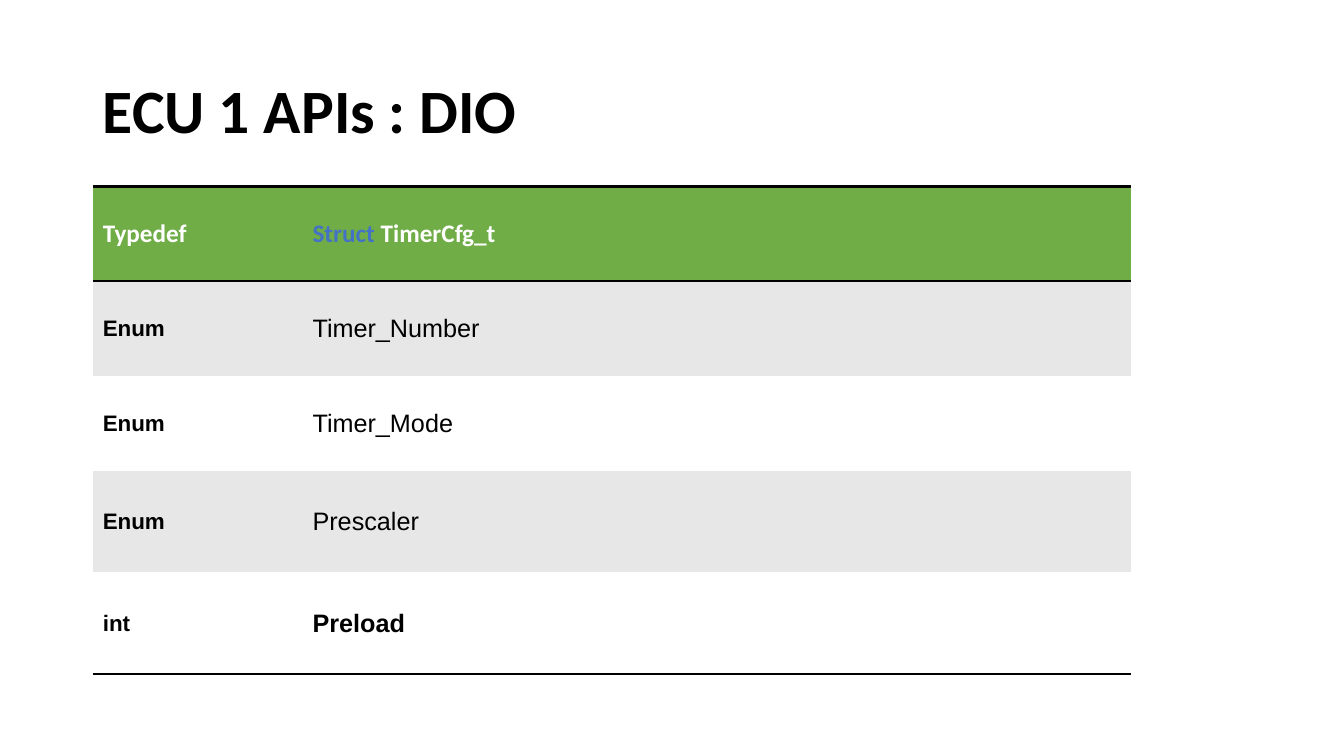
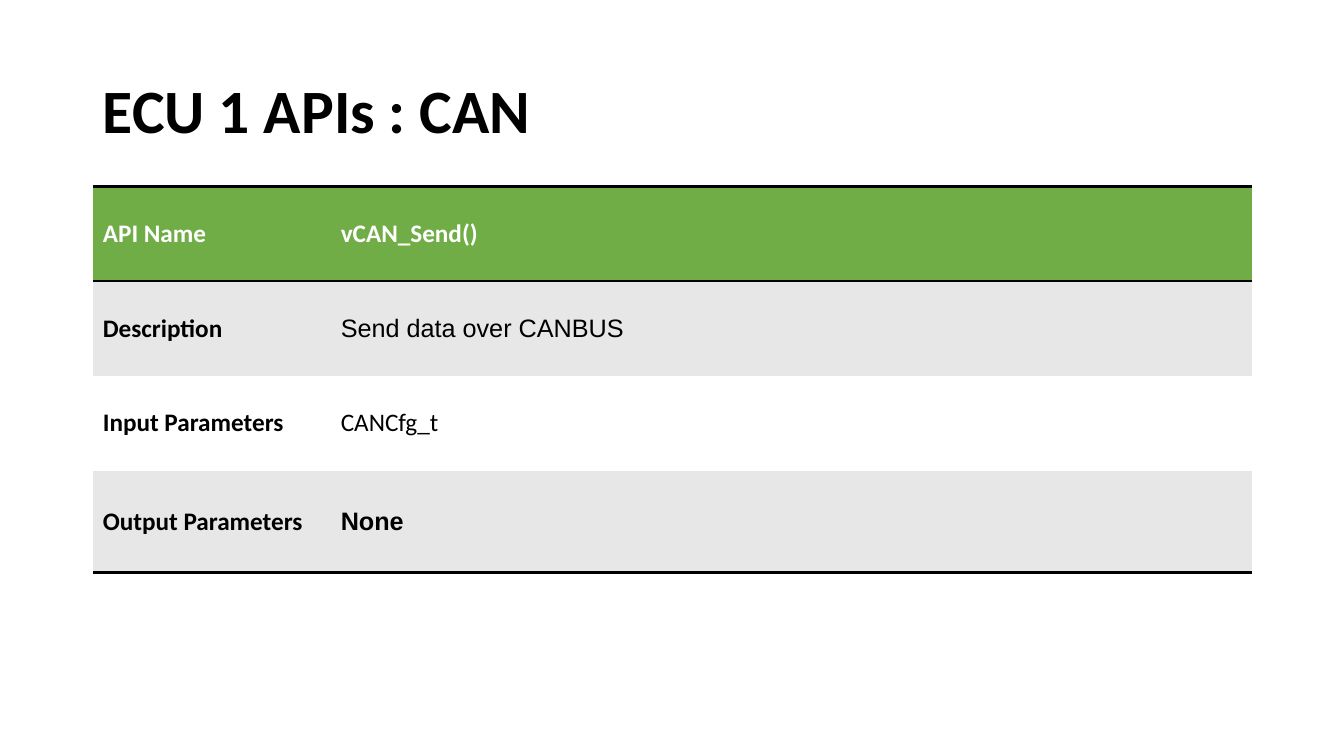
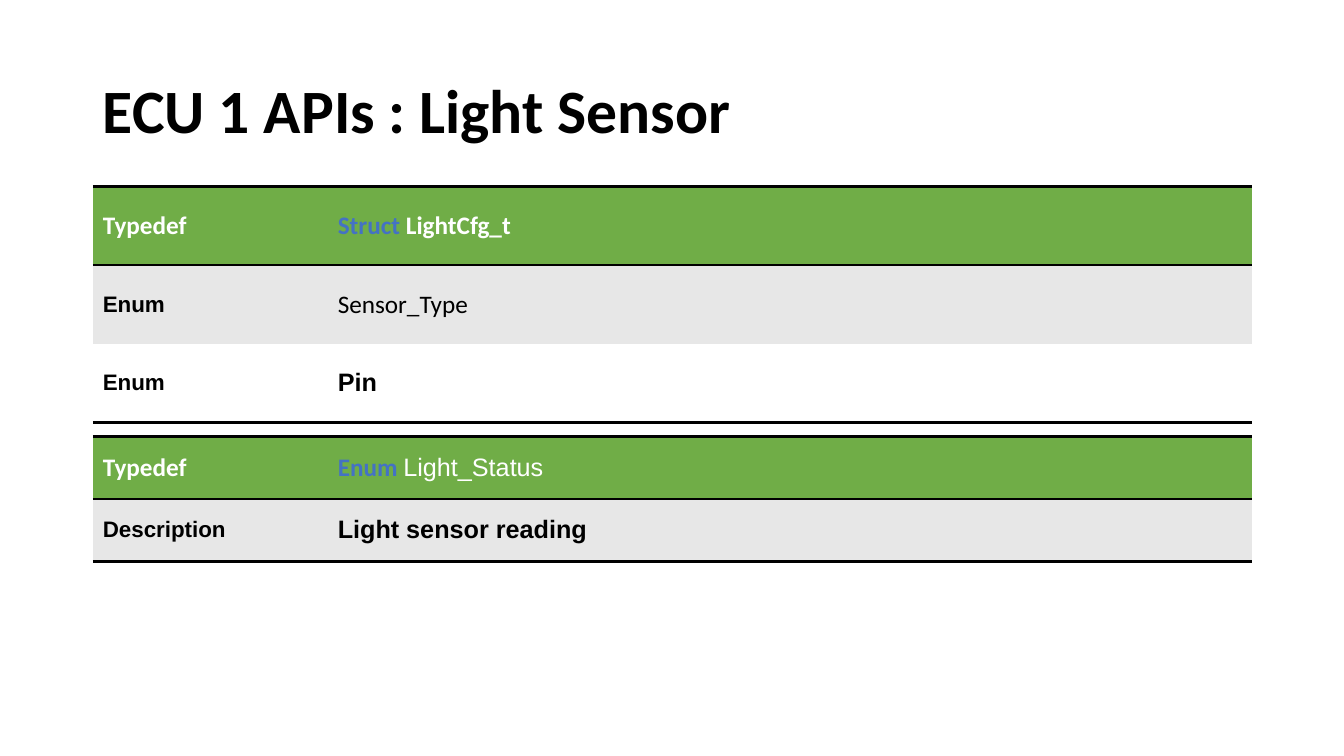
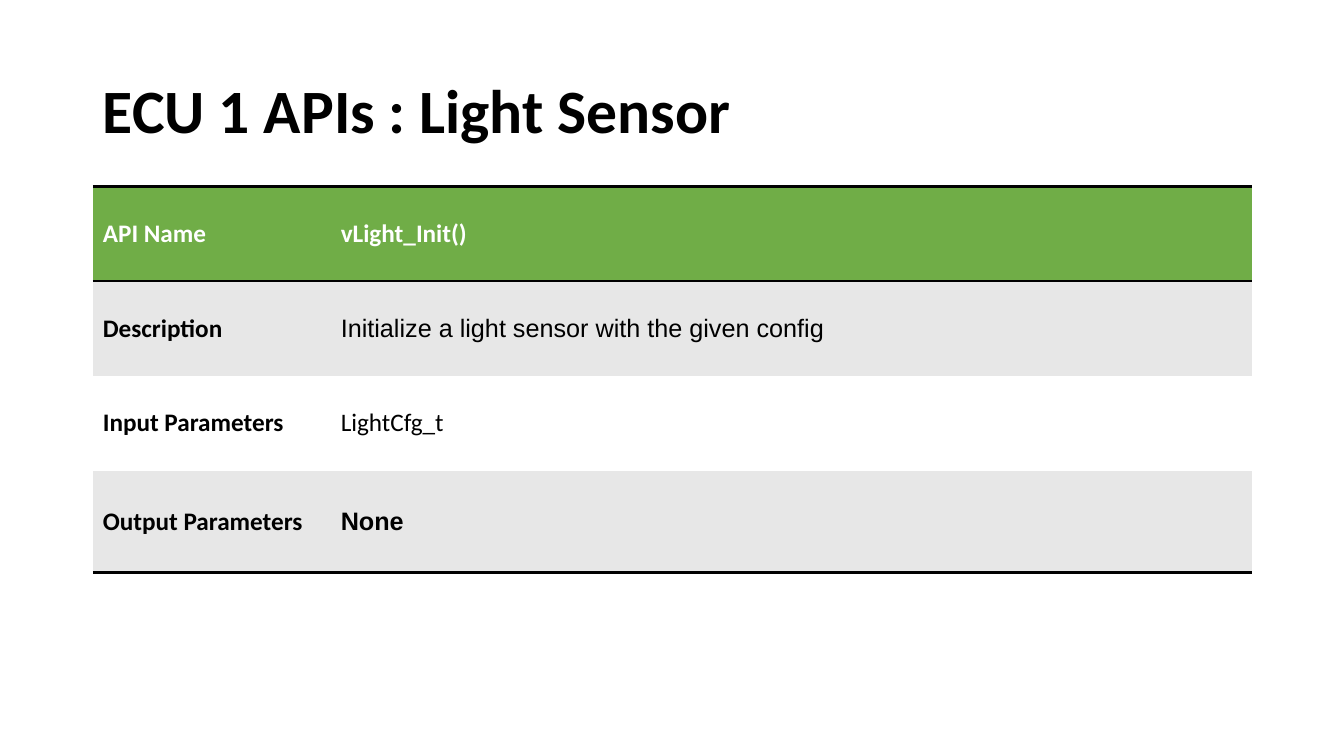
from lxml import etree
from pptx import Presentation
from pptx.dml.color import RGBColor
from pptx.enum.text import MSO_ANCHOR as Anchor, MSO_AUTO_SIZE as AutoSize, PP_ALIGN as Align
from pptx.oxml.ns import qn
from pptx.util import Inches, Pt

# Shared look
BLACK, WHITE, GREEN, GREY, BLUE = "000000", "FFFFFF", "70AD47", "E7E7E7", "4472C4"
LEFT, WIDTH = 0.92, 11.5
TITLE_TOP, TITLE_HEIGHT, TABLE_TOP = 0.4, 1.45, 1.85
RULE_WIDTH = 2
NO_GRID_STYLE = "{2D5ABB26-0587-4C30-8999-92F81FD0307C}"

# Text styles: font, size, bold, colour
STYLES = {
    "title": ("Calibri", 44, True, BLACK),
    "head": ("Calibri", 18, True, WHITE),
    "head light": ("Arial", 18, False, WHITE),
    "keyword": ("Calibri", 18, True, BLUE),
    "type": ("Arial", 16, True, BLACK),
    "label": ("Calibri", 18, True, BLACK),
    "value": ("Arial", 18, False, BLACK),
    "config": ("Calibri", 18, False, BLACK),
    "strong": ("Arial", 18, True, BLACK),
}


def typedef(keyword, name, fields, name_style="head"):
    """Rows of a type definition; the last field is emphasised."""
    rows = [([("Typedef", "head")], [(keyword + " ", "keyword"), (name, name_style)])]
    for kind, field, style in fields:
        rows.append(([(kind, "type")], [(field, style)]))
    return rows


def api(name, description, config):
    """Rows that describe one function."""
    return [
        ([("API Name", "head")], [(name, "head")]),
        ([("Description", "label")], [(description, "value")]),
        ([("Input Parameters", "label")], [(config, "config")]),
        ([("Output Parameters", "label")], [("None", "strong")]),
    ]


# Content: title, then tables as (top, column widths, row heights, rows)
API_COLUMNS, API_HEIGHTS = (2.36, 9.14), (0.94, 0.94, 0.94, 1.01)
LIGHT_COLUMNS = (2.33, 9.17)
SLIDES = [
    ("ECU 1 APIs : DIO", [
        (TABLE_TOP, (2.08, 8.22), (0.94, 0.94, 0.94, 1.01, 1.01),
         typedef("Struct", "TimerCfg_t", [
             ("Enum", "Timer_Number", "value"),
             ("Enum", "Timer_Mode", "value"),
             ("Enum", "Prescaler", "value"),
             ("int", "Preload", "strong")])),
    ]),
    ("ECU 1 APIs : CAN", [
        (TABLE_TOP, API_COLUMNS, API_HEIGHTS,
         api("vCAN_Send()", "Send data over CANBUS", "CANCfg_t")),
    ]),
    ("ECU 1 APIs : Light Sensor", [
        (TABLE_TOP, LIGHT_COLUMNS, (0.78,) * 3,
         typedef("Struct", "LightCfg_t", [
             ("Enum", "Sensor_Type", "config"),
             ("Enum", "Pin", "strong")])),
        (4.33, LIGHT_COLUMNS, (0.62,) * 2,
         typedef("Enum", "Light_Status", [
             ("Description", "Light sensor reading", "strong")], "head light")),
    ]),
    ("ECU 1 APIs : Light Sensor", [
        (TABLE_TOP, API_COLUMNS, API_HEIGHTS,
         api("vLight_Init()", "Initialize a light sensor with the given config",
             "LightCfg_t")),
    ]),
]


def color(hex_string):
    return RGBColor.from_string(hex_string)


def add_runs(paragraph, runs):
    for text, style in runs:
        run = paragraph.add_run()
        run.text = text
        run.font.name, size, run.font.bold, ink = STYLES[style]
        run.font.size = Pt(size)
        run.font.color.rgb = color(ink)


def add_title(slide, text):
    title = slide.shapes.title
    title.left, title.top = Inches(LEFT), Inches(TITLE_TOP)
    title.width, title.height = Inches(WIDTH), Inches(TITLE_HEIGHT)
    frame = title.text_frame
    frame.vertical_anchor = Anchor.MIDDLE
    frame.auto_size = AutoSize.NONE
    paragraph = frame.paragraphs[0]
    paragraph.alignment = Align.LEFT
    paragraph.line_spacing = 0.9
    add_runs(paragraph, [(text, "title")])


def add_rules(cell, sides):
    """Black rules on the given sides; they go ahead of the cell fill."""
    properties = cell._tc.get_or_add_tcPr()
    for index, side in enumerate(sides):
        line = etree.Element(qn("a:ln" + side), w=str(Pt(RULE_WIDTH)))
        fill = etree.SubElement(line, qn("a:solidFill"))
        etree.SubElement(fill, qn("a:srgbClr"), val=BLACK)
        properties.insert(index, line)


def add_table(slide, top, columns, heights, rows):
    table = slide.shapes.add_table(
        len(rows), len(columns), Inches(LEFT), Inches(top),
        Inches(sum(columns)), Inches(sum(heights))).table
    table._tbl.tblPr.find(qn("a:tableStyleId")).text = NO_GRID_STYLE
    for column, width in zip(table.columns, columns):
        column.width = Inches(width)
    for r, (height, row) in enumerate(zip(heights, rows)):
        table.rows[r].height = Inches(height)
        # Green header, then alternating grey and white
        band = GREEN if r == 0 else GREY if r % 2 else WHITE
        sides = "TB" if r == 0 else "B" if r == len(rows) - 1 else ""
        for c, runs in enumerate(row):
            cell = table.cell(r, c)
            cell.vertical_anchor = Anchor.MIDDLE
            cell.fill.solid()
            cell.fill.fore_color.rgb = color(band)
            add_rules(cell, sides)
            add_runs(cell.text_frame.paragraphs[0], runs)


# Build the slides
deck = Presentation()
deck.slide_width, deck.slide_height = Inches(13.33), Inches(7.5)
title_only = deck.slide_layouts[5]
for heading, tables in SLIDES:
    slide = deck.slides.add_slide(title_only)
    add_title(slide, heading)
    for table_parts in tables:
        add_table(slide, *table_parts)
deck.save("out.pptx")
